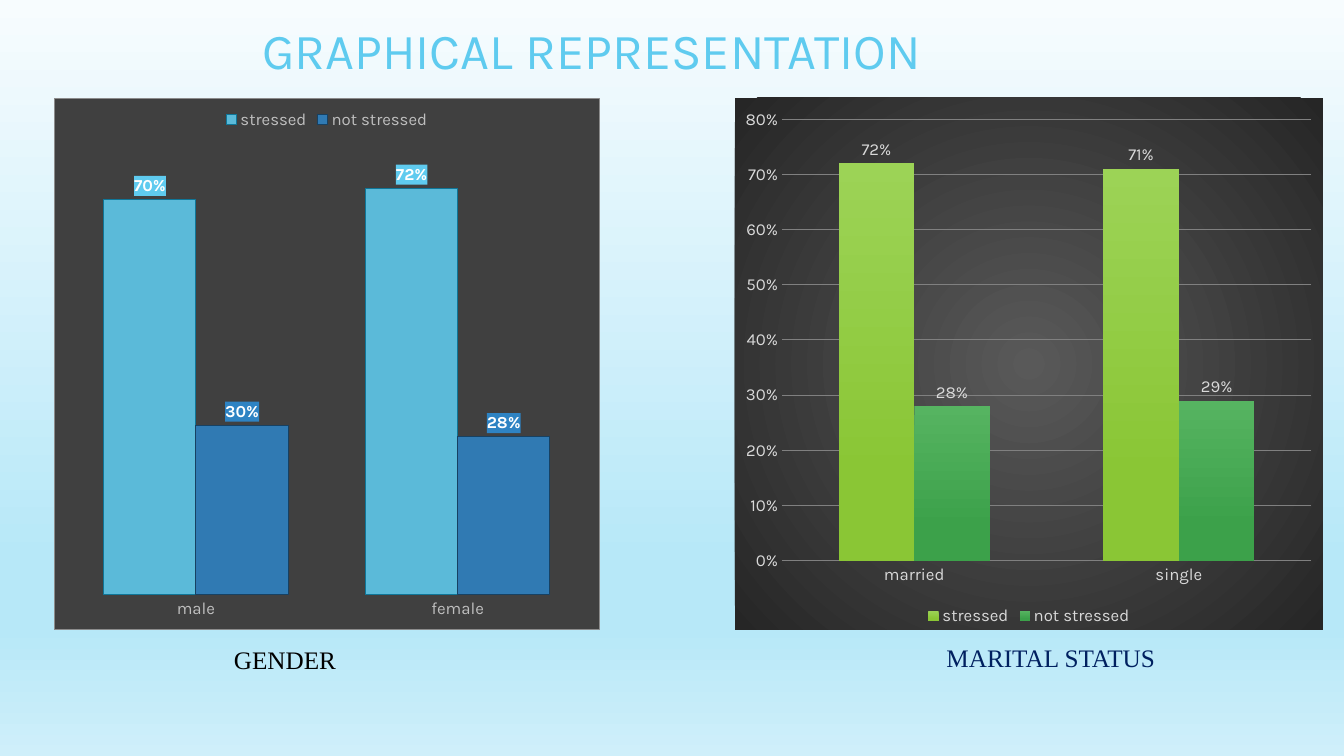
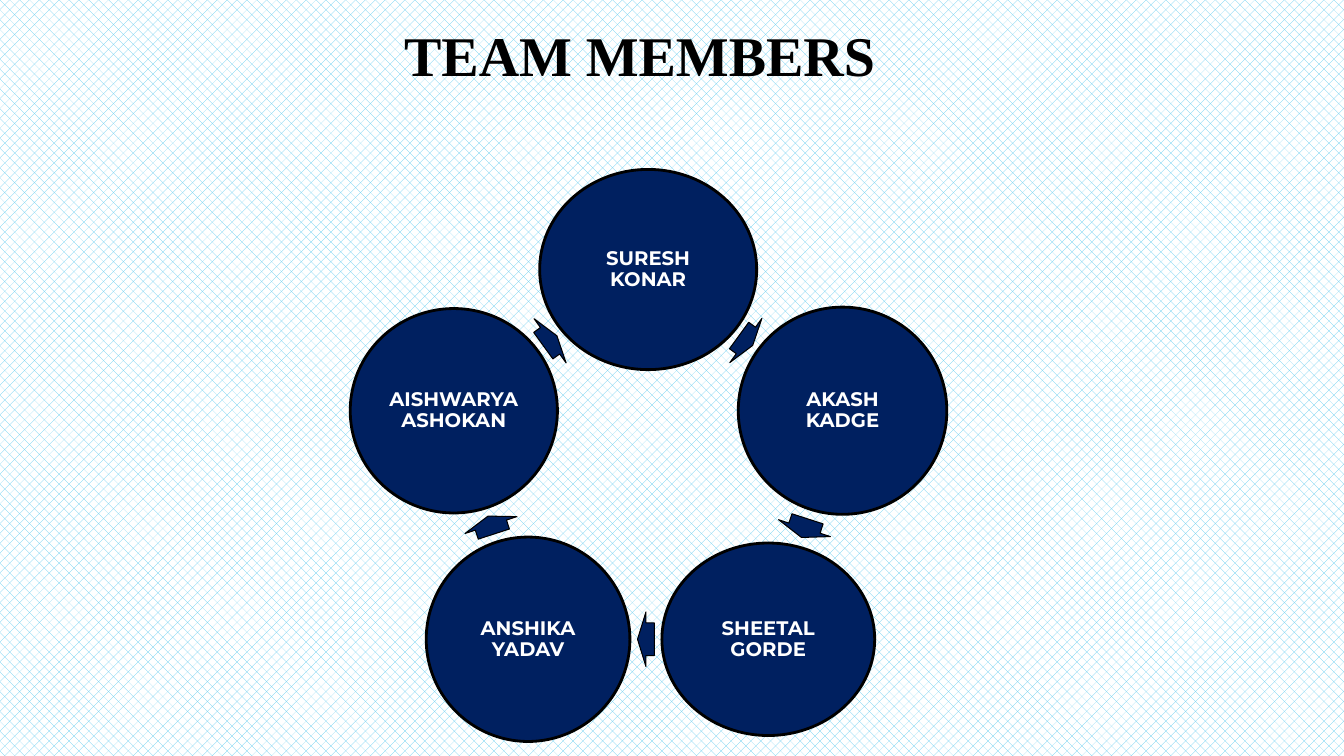
import math

from pptx import Presentation
from pptx.chart.data import CategoryChartData
from pptx.dml.color import RGBColor
from pptx.enum import chart as charts, dml, shapes, text
from pptx.oxml import parse_xml
from pptx.oxml.ns import nsdecls, qn
from pptx.util import Pt

COLORS = {
    "black": "000000", "white": "FFFFFF", "navy": "002060", "sky": "5FCBEF",
    "blue": "2E83C3", "sky_edge": "0F7698", "blue_edge": "174162",
    "panel": "404040", "panel_edge": "8C8C8C", "grid": "808080",
    "light_gray": "D9D9D9", "silver": "BFBFBF",
    "glow": "595959", "charcoal": "262626",
    "lime_top": "9CD356", "lime": "8AC635", "green_top": "56B461", "green": "3CA14A",
    "mist": "F7FCFE", "ice": "B7E8F8", "pale": "CFEFFA",
}
SANS, SERIF, BOLD_SANS = "Karla", "Times New Roman", "Montserrat"

GENDER = {
    "categories": ["male", "female"],
    "values": {"stressed": (0.70, 0.72), "not stressed": (0.30, 0.28)},
    "fills": [("sky", "sky_edge"), ("blue", "blue_edge")],
}
MARITAL = {
    "categories": ["married", "single"],
    "values": {"stressed": (0.72, 0.71), "not stressed": (0.28, 0.29)},
    "fills": [("lime_top", "lime"), ("green_top", "green")],
}
# name, circle width, circle height, length of the arrow that follows
MEMBERS = [
    ("SURESH KONAR", 155, 143, 12),
    ("AKASH KADGE", 149, 148, 14),
    ("SHEETAL GORDE", 152, 137.5, 12),
    ("ANSHIKA YADAV", 145.5, 146, 13.5),
    ("AISHWARYA ASHOKAN", 148, 146, 12),
]


def rgb(name):
    return RGBColor.from_string(COLORS[name])


def set_font(font, size, color, name=SANS, bold=False):
    font.name, font.size, font.bold = name, Pt(size), bold
    font.color.rgb = rgb(color)


def write(shape, words, size, color, font=SANS, bold=False, align=text.PP_ALIGN.LEFT,
          anchor=text.MSO_ANCHOR.MIDDLE, margin=None, spacing=1.0):
    frame = shape.text_frame
    frame.word_wrap = True
    frame.auto_size = text.MSO_AUTO_SIZE.NONE
    frame.vertical_anchor = anchor
    if margin is not None:
        frame.margin_left = frame.margin_right = Pt(margin)
        frame.margin_top = frame.margin_bottom = Pt(margin)
    paragraph = frame.paragraphs[0]
    paragraph.alignment, paragraph.line_spacing = align, spacing
    run = paragraph.add_run()
    run.text = words
    set_font(run.font, size, color, font, bold)


def place(shape, box):
    shape.left, shape.top, shape.width, shape.height = map(Pt, box)


def add_titled_slide(presentation, title, box, **style):
    slide = presentation.slides.add_slide(presentation.slide_layouts[5])
    place(slide.shapes.title, box)
    write(slide.shapes.title, title, **style)
    return slide


def gradient_xml(stops, direction):
    marks = "".join(f'<a:gs pos="{position * 1000}"><a:srgbClr val="{COLORS[name]}"/></a:gs>'
                    for position, name in stops)
    return (f'<a:gradFill {nsdecls("a")} rotWithShape="1">'
            f'<a:gsLst>{marks}</a:gsLst>{direction}</a:gradFill>')


def solid_xml(name):
    return f'<a:solidFill><a:srgbClr val="{COLORS[name]}"/></a:solidFill>'


def properties_xml(content):
    return parse_xml(f'<c:spPr {nsdecls("c", "a")}>{content}</c:spPr>')


def set_plot_area(chart, x, y, w, h):
    """Fix the inner plot area, as fractions of the chart."""
    area = chart.element.find(qn("c:chart")).find(qn("c:plotArea"))
    for layout in area.findall(qn("c:layout")):
        area.remove(layout)
    sizes = "".join(f'<c:{key} val="{value}"/>'
                    for key, value in zip("xywh", (x, y, w, h)))
    area.insert(0, parse_xml(
        f'<c:layout {nsdecls("c")}><c:manualLayout><c:layoutTarget val="inner"/>'
        f'<c:xMode val="edge"/><c:yMode val="edge"/>{sizes}</c:manualLayout></c:layout>'))


def add_column_chart(slide, box, data, panel, plot_area, gap, color, legend):
    """Draw the parts both column charts share and return the chart."""
    chart_data = CategoryChartData(number_format="0%")
    chart_data.categories = data["categories"]
    for name, values in data["values"].items():
        chart_data.add_series(name, values)
    chart = slide.shapes.add_chart(charts.XL_CHART_TYPE.COLUMN_CLUSTERED,
                                   *map(Pt, box), chart_data).chart
    chart.has_title = False
    set_font(chart.font, 10, "black")
    chart.element.find(qn("c:chart")).addnext(properties_xml(panel))
    set_plot_area(chart, *plot_area)

    chart.has_legend = True
    chart.legend.position = legend
    chart.legend.include_in_layout = False
    set_font(chart.legend.font, 12, color)

    for axis in (chart.category_axis, chart.value_axis):
        axis.major_tick_mark = axis.minor_tick_mark = charts.XL_TICK_MARK.NONE
        axis.format.line.fill.background()
        set_font(axis.tick_labels.font, 12, color)
    values = chart.value_axis
    values.minimum_scale, values.maximum_scale, values.major_unit = 0, 0.8, 0.1
    values.tick_labels.number_format = "0%"
    values.tick_labels.number_format_is_linked = False

    plot = chart.plots[0]
    plot.gap_width, plot.overlap, plot.vary_by_categories = gap, 0, False
    for series in plot.series:
        labels = series.data_labels
        labels.show_value = True
        labels.number_format, labels.number_format_is_linked = "0%", False
        labels.position = charts.XL_LABEL_POSITION.OUTSIDE_END
        set_font(labels.font, 12, color)
    return chart


def add_gender_chart(slide, box):
    panel = solid_xml("panel") + f'<a:ln w="6350">{solid_xml("panel_edge")}</a:ln>'
    chart = add_column_chart(slide, box, GENDER, panel, (0.02, 0.085, 0.96, 0.85),
                             84, "silver", charts.XL_LEGEND_POSITION.TOP)
    chart.value_axis.has_major_gridlines = False
    chart.value_axis.visible = False
    elements = chart.element.iter(qn("c:ser"))
    for series, element, (fill, edge) in zip(chart.plots[0].series, list(elements),
                                             GENDER["fills"]):
        series.format.fill.solid()
        series.format.fill.fore_color.rgb = rgb(fill)
        series.format.line.color.rgb = rgb(edge)
        series.format.line.width = Pt(0.75)
        solid = element.find(qn("c:spPr")).find(qn("a:solidFill"))
        solid[0].append(parse_xml(f'<a:alpha {nsdecls("a")} val="88000"/>'))
        set_font(series.data_labels.font, 12, "white", bold=True)
        label_text = element.find(qn("c:dLbls")).find(qn("c:txPr"))
        label_text.addprevious(properties_xml(solid_xml(fill)))


def add_marital_chart(slide, box):
    center = ('<a:path path="circle"><a:fillToRect l="50000" t="50000" '
              'r="50000" b="50000"/></a:path>')
    panel = gradient_xml([(0, "glow"), (100, "charcoal")], center)
    chart = add_column_chart(slide, box, MARITAL, panel + "<a:ln><a:noFill/></a:ln>",
                             (0.08, 0.04, 0.9, 0.83), 150, "light_gray",
                             charts.XL_LEGEND_POSITION.BOTTOM)
    grid = chart.value_axis.major_gridlines.format.line
    grid.color.rgb, grid.width = rgb("grid"), Pt(0.75)
    for series, colors in zip(chart.plots[0].series, MARITAL["fills"]):
        fill = series.format.fill
        fill.gradient()
        fill.gradient_angle = 270
        for stop, color, position in zip(fill.gradient_stops, colors, (0, 0.78)):
            stop.color.rgb, stop.position = rgb(color), position


def add_caption(slide, words, box, color):
    caption = slide.shapes.add_textbox(*map(Pt, box))
    write(caption, words, 18, color, SERIF)


def add_node(slide, kind, center, width, height):
    """Add a navy shape with a black outline, placed by its centre."""
    x, y = center
    shape = slide.shapes.add_shape(kind, Pt(x - width / 2), Pt(y - height / 2),
                                   Pt(width), Pt(height))
    shape.shadow.inherit = False
    shape.fill.solid()
    shape.fill.fore_color.rgb = rgb("navy")
    shape.line.color.rgb = rgb("black")
    return shape


def reach(width, height, angle):
    """Distance from the centre of an ellipse to its edge."""
    return 1 / math.hypot(2 * math.cos(angle) / width, 2 * math.sin(angle) / height)


def add_member_cycle(slide, center, radius):
    step = 360 / len(MEMBERS)

    def spot(index):
        turn = math.radians(index * step)
        return center[0] + radius * math.sin(turn), center[1] - radius * math.cos(turn)

    for index, (name, width, height, arrow_length) in enumerate(MEMBERS):
        x, y = spot(index)
        circle = add_node(slide, shapes.MSO_SHAPE.OVAL, (x, y), width, height)
        circle.line.width = Pt(2)
        write(circle, name, 14, "white", BOLD_SANS, bold=True,
              align=text.PP_ALIGN.CENTER, margin=1.5, spacing=0.9)

        _, next_width, next_height, _ = MEMBERS[(index + 1) % len(MEMBERS)]
        next_x, next_y = spot(index + 1)
        rotation = (index + 0.5) * step
        angle = math.radians(rotation)
        shift = (reach(width, height, angle) - reach(next_width, next_height, angle)) / 2
        middle = ((x + next_x) / 2 + shift * math.cos(angle),
                  (y + next_y) / 2 + shift * math.sin(angle))
        arrow = add_node(slide, shapes.MSO_SHAPE.RIGHT_ARROW, middle, arrow_length, 39)
        arrow.line.width = Pt(0.75)
        arrow.adjustments[0], arrow.adjustments[1] = 0.6, 0.5
        arrow.rotation = rotation


def build_chart_slide(presentation):
    slide = add_titled_slide(presentation, "GRAPHICAL REPRESENTATION", (180, 8, 500, 55),
                             size=36, color="sky")
    slide.background.fill.solid()
    solid = next(slide.element.iter(qn("p:bgPr"))).find(qn("a:solidFill"))
    stops = [(0, "mist"), (74, "ice"), (83, "ice"), (100, "pale")]
    downward = '<a:lin ang="5400000" scaled="0"/>'
    solid.getparent().replace(solid, parse_xml(gradient_xml(stops, downward)))
    add_gender_chart(slide, (38.5, 70, 390, 380))
    add_marital_chart(slide, (525, 70, 420, 380))
    add_caption(slide, "GENDER", (160, 456.5, 100, 29), "black")
    add_caption(slide, "MARITAL STATUS", (669, 455, 194, 29), "navy")


def build_team_slide(presentation):
    slide = add_titled_slide(presentation, "TEAM MEMBERS", (281.5, 11.5, 384, 55),
                             size=40, color="black", font=SERIF, bold=True)
    fill = slide.background.fill
    fill.patterned()
    fill.pattern = dml.MSO_PATTERN.PERCENT_30
    fill.fore_color.rgb, fill.back_color.rgb = rgb("sky"), rgb("white")
    add_member_cycle(slide, (463, 338.5), 146)


def main():
    presentation = Presentation()
    presentation.slide_width, presentation.slide_height = Pt(960), Pt(540)
    build_chart_slide(presentation)
    build_team_slide(presentation)
    presentation.save("out.pptx")


if __name__ == "__main__":
    main()
